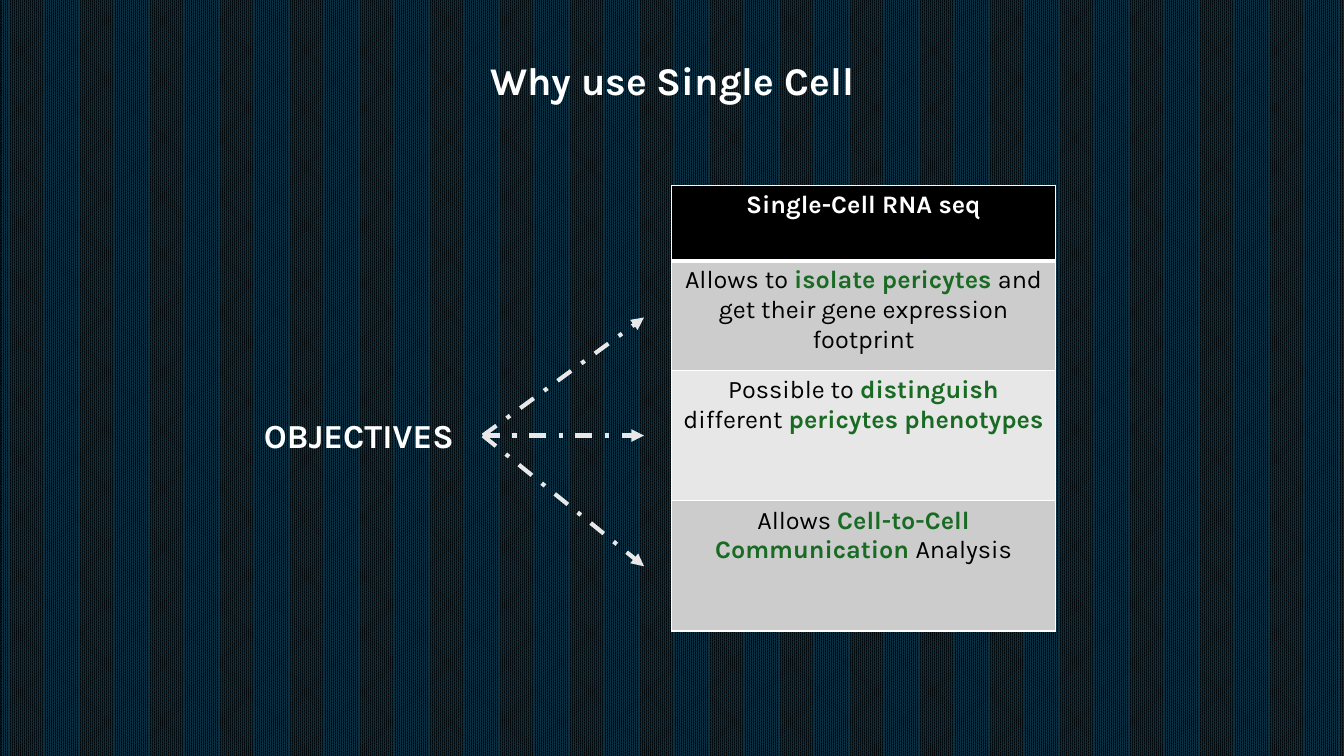
import pptx
import pptx.dml.color
import pptx.enum.dml
import pptx.enum.shapes
import pptx.enum.text
import pptx.oxml
import pptx.oxml.ns
import pptx.util
from lxml import etree

Cm = pptx.util.Cm
Pt = pptx.util.Pt
RGBColor = pptx.dml.color.RGBColor
qn = pptx.oxml.ns.qn

WHITE = RGBColor(0xFF, 0xFF, 0xFF)
BLACK = RGBColor(0x00, 0x00, 0x00)
NAVY = RGBColor(0x0B, 0x30, 0x41)
GREEN = RGBColor(0x19, 0x6B, 0x24)
GREY = RGBColor(0xCC, 0xCC, 0xCC)
PALE_GREY = RGBColor(0xE7, 0xE7, 0xE7)
ARROW_GREY = RGBColor(0xE8, 0xE8, 0xE8)


def write_spans(para, spans, size):
    para.alignment = pptx.enum.text.PP_ALIGN.CENTER
    for text, color, bold in spans:
        span = para.add_run()
        span.text = text
        span.font.color.rgb = color
        font_format = {"name": "Karla", "size": Pt(size), "bold": bold}
        for name, value in font_format.items():
            setattr(span.font, name, value)


def add_label(slide, bounds, text, size, frame_format):
    box = slide.shapes.add_textbox(*[Cm(length) for length in bounds])
    for name, value in frame_format.items():
        setattr(box.text_frame, name, value)
    write_spans(box.text_frame.paragraphs[0], [(text, WHITE, True)], size)
    return box


deck = pptx.Presentation()
deck.slide_width = Cm(33.87)
deck.slide_height = Cm(19.05)
slide = deck.slides.add_slide(deck.slide_layouts[6])

backdrop = slide.background.fill
backdrop.patterned()
backdrop.pattern = pptx.enum.dml.MSO_PATTERN.PERCENT_90
backdrop.fore_color.rgb = NAVY
backdrop.back_color.rgb = BLACK

title = add_label(slide, (2.33, 0.25, 29.21, 3.68), "Why use Single Cell", 28, {
    "word_wrap": True,
    "vertical_anchor": pptx.enum.text.MSO_ANCHOR.MIDDLE,
})
title.text_frame.paragraphs[0].line_spacing = 0.9

rows = [
    (1.9, BLACK, [("Single-Cell RNA seq", WHITE, True)]),
    (2.77, GREY, [
        ("Allows to ", BLACK, False),
        ("isolate pericytes ", GREEN, True),
        ("and get their gene expression footprint", BLACK, False),
    ]),
    (3.28, PALE_GREY, [
        ("Possible to ", BLACK, False),
        ("distinguish", GREEN, True),
        (" different ", BLACK, False),
        ("pericytes phenotypes ", GREEN, True),
    ]),
    (3.28, GREY, [
        ("Allows ", BLACK, False),
        ("Cell-to-Cell Communication ", GREEN, True),
        ("Analysis", BLACK, False),
    ]),
]
table_height = sum(height for height, fill, spans in rows)
table = slide.shapes.add_table(
    len(rows), 1, Cm(16.93), Cm(4.67), Cm(9.66), Cm(table_height)
).table
table.first_row = False
table.horz_banding = False

for index, (height, fill, spans) in enumerate(rows):
    table.rows[index].height = Cm(height)
    cell = table.cell(index, 0)
    write_spans(cell.text_frame.paragraphs[0], spans, 18)
    properties = cell._tc.get_or_add_tcPr()
    for side in ("L", "R", "T", "B"):
        under_header = (index, side) in ((0, "B"), (1, "T"))
        border = etree.SubElement(properties, qn(f"a:ln{side}"))
        border.set("w", str(Pt(3 if under_header else 1)))
        paint = etree.SubElement(border, qn("a:solidFill"))
        etree.SubElement(paint, qn("a:srgbClr")).set("val", str(WHITE))
    cell.fill.solid()
    cell.fill.fore_color.rgb = fill

objectives = add_label(slide, (5.92, 10.34, 6.25, 1.27), "OBJECTIVES", 24, {
    "word_wrap": True,
    "auto_size": pptx.enum.text.MSO_AUTO_SIZE.SHAPE_TO_FIT_TEXT,
})

start_x = objectives.left + objectives.width
start_y = objectives.top + objectives.height // 2
for end_y in (Cm(14.27), start_y, Cm(8)):
    arrow = slide.shapes.add_connector(
        pptx.enum.shapes.MSO_CONNECTOR.STRAIGHT, start_x, start_y, Cm(16.23), end_y
    )
    arrow.begin_connect(objectives, 3)
    arrow.line.color.rgb = ARROW_GREY
    arrow.line.width = Pt(3)
    arrow.line.dash_style = pptx.enum.dml.MSO_LINE.DASH_DOT
    shape_properties = arrow.element.spPr
    outline = shape_properties.find(qn("a:ln"))
    etree.SubElement(outline, qn("a:tailEnd")).set("type", "triangle")
    etree.SubElement(shape_properties, qn("a:effectLst"))

deck.save("out.pptx")
